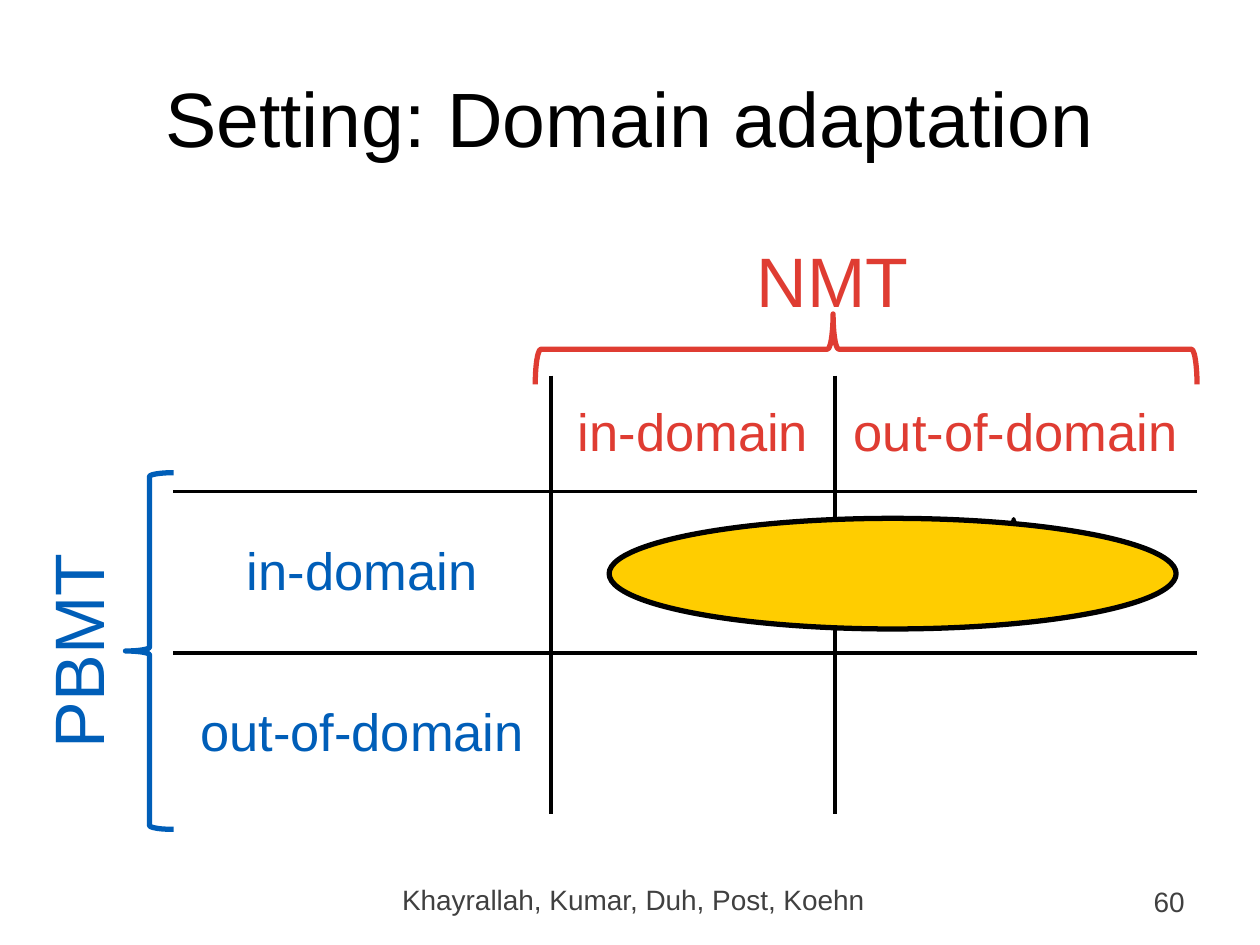
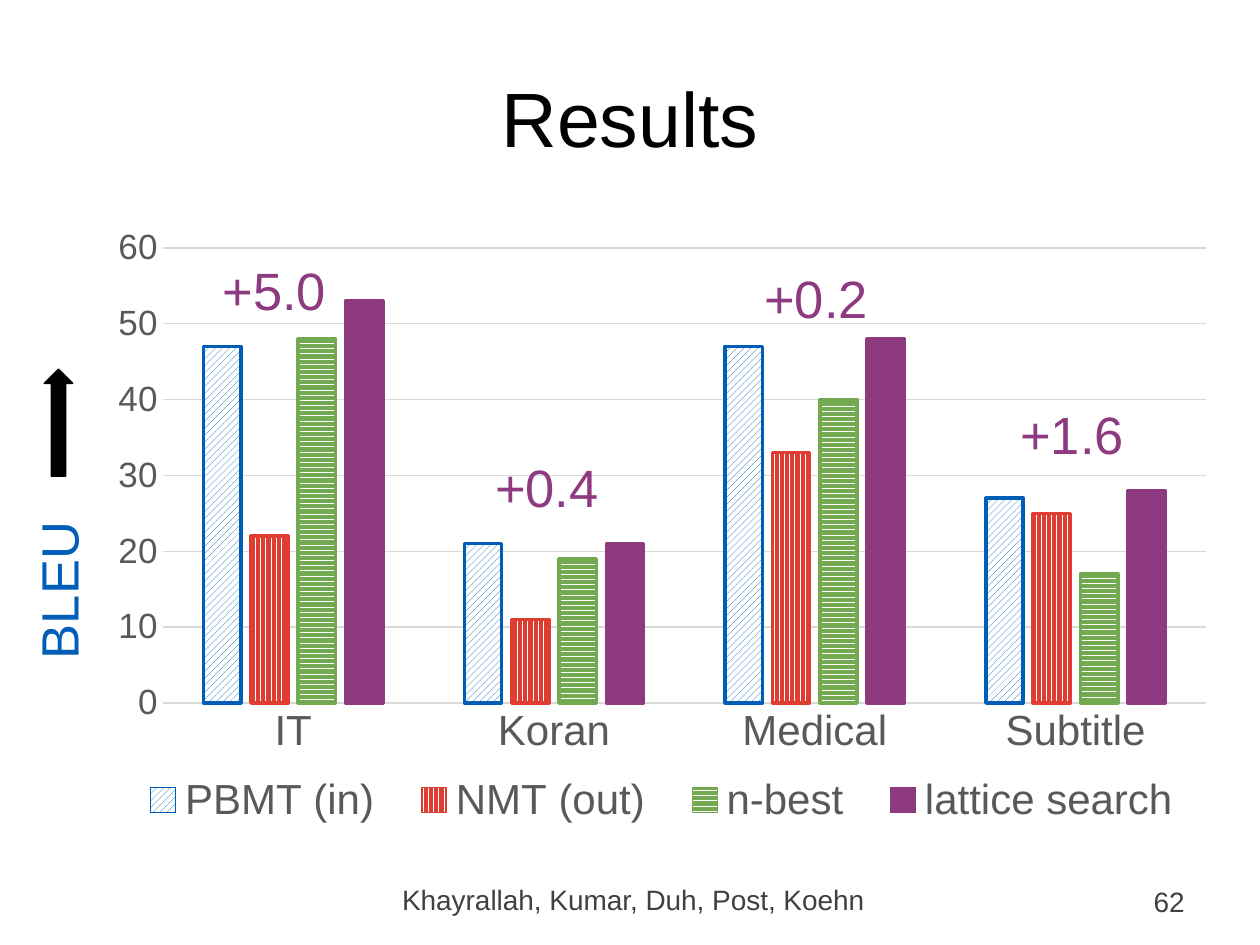
"""Builds two slides on domain adaptation: the setting and the results."""
from dataclasses import dataclass
from typing import Optional

from lxml import etree
from pptx import Presentation
from pptx import util as u
from pptx.chart import data as chart_data
from pptx.dml.color import RGBColor
from pptx.enum import chart as charts
from pptx.enum import dml, shapes, text
from pptx.oxml import ns

BLACK = RGBColor(0x00, 0x00, 0x00)
WHITE = RGBColor(0xFF, 0xFF, 0xFF)
BLUE = RGBColor(0x00, 0x5E, 0xB8)
RED = RGBColor(0xDF, 0x3C, 0x32)
GREEN = RGBColor(0x73, 0xA9, 0x51)
PURPLE = RGBColor(0x8E, 0x3A, 0x80)
YELLOW = RGBColor(0xFF, 0xCD, 0x00)
FOOTER_GREY = RGBColor(0x40, 0x40, 0x40)
AXIS_GREY = RGBColor(0x59, 0x59, 0x59)
GRID_GREY = RGBColor(0xD9, 0xD9, 0xD9)

FONT = "Arial"
AUTHORS = "Khayrallah, Kumar, Duh, Post, Koehn"
LEFT, CENTER, RIGHT = text.PP_ALIGN.LEFT, text.PP_ALIGN.CENTER, text.PP_ALIGN.RIGHT
TOP, MIDDLE = text.MSO_ANCHOR.TOP, text.MSO_ANCHOR.MIDDLE


@dataclass(frozen=True)
class Area:
    """A rectangle in centimetres."""
    left: float
    top: float
    width: float
    height: float

    def lengths(self) -> tuple:
        """Return the four sides as slide lengths."""
        return tuple(map(u.Cm, (self.left, self.top, self.width, self.height)))


@dataclass(frozen=True)
class Figure:
    """A preset shape with its outline, fill, rotation and adjustments."""
    kind: shapes.MSO_SHAPE
    area: Area
    line: RGBColor
    weight: float
    fill: Optional[RGBColor] = None
    rotation: float = 0
    adjustments: tuple = ()


@dataclass(frozen=True)
class System:
    """A translation system with its scores and bar style."""
    name: str
    scores: tuple
    color: RGBColor
    pattern: Optional[dml.MSO_PATTERN] = None


@dataclass(frozen=True)
class Gain:
    """A score gain and the place of its label."""
    label: str
    left: float
    top: float


TITLE_AREA = Area(1.27, 0.76, 22.86, 3.18)
AUTHORS_AREA = Area(7.13, 17.66, 11.28, 1.02)
NUMBER_AREA = Area(18.21, 17.65, 5.92, 1.02)

COLUMN_WIDTHS = (7.62, 5.72, 7.29)
ROW_HEIGHTS = (2.34, 3.25, 3.25)
DOMAINS = ("in-domain", "out-of-domain")

FIGURES = (
    Figure(shapes.MSO_SHAPE.LEFT_BRACE, Area(2.53, 9.53, 0.97, 7.19), BLUE, 3,
           adjustments=(0.08, 0.5)),
    Figure(shapes.MSO_SHAPE.LEFT_BRACE, Area(16.75, 0.37, 1.42, 13.34), RED, 3,
           rotation=90, adjustments=(0.08, 0.55)),
    Figure(shapes.MSO_SHAPE.STAR_5_POINT, Area(19.48, 10.46, 1.91, 1.7), BLACK, 2, YELLOW),
    Figure(shapes.MSO_SHAPE.OVAL, Area(12.28, 10.45, 11.43, 2.23), BLACK, 3, YELLOW),
)
UP_ARROW = Figure(shapes.MSO_SHAPE.UP_ARROW, Area(0.89, 7.44, 0.58, 2.16), BLACK, 0.75, BLACK)

CORPORA = ("IT", "Koran", "Medical", "Subtitle")
SYSTEMS = (
    System("PBMT (in)", (47, 21, 47, 27), BLUE, dml.MSO_PATTERN.WIDE_UPWARD_DIAGONAL),
    System("NMT (out)", (22, 11, 33, 25), RED, dml.MSO_PATTERN.DARK_VERTICAL),
    System("n-best", (48, 19, 40, 17), GREEN, dml.MSO_PATTERN.DARK_HORIZONTAL),
    System("lattice search", (53, 21, 48, 28), PURPLE),
)
GAINS = (
    Gain("+5.0", 4.24, 5.08),
    Gain("+0.4", 9.73, 9.04),
    Gain("+0.2", 15.16, 5.23),
    Gain("+1.6", 20.32, 7.98),
)
PLOT_SHARES = {"x": 0.06, "y": 0.05, "w": 0.92, "h": 0.73}
LEGEND_SHARES = {"x": 0.02, "y": 0.89, "w": 0.96, "h": 0.09}


def style_font(font, size: float, color: RGBColor) -> None:
    """Set the typeface, size and colour of a font."""
    font.name, font.size = FONT, u.Pt(size)
    font.color.rgb = color


def write_text(frame, words: str, *, size: float, color: RGBColor, align=CENTER) -> None:
    """Write one formatted paragraph into a text frame."""
    para = frame.paragraphs[0]
    para.alignment = align
    span = para.add_run()
    span.text = words
    style_font(span.font, size, color)


def add_text(page, words: str, area: Area, *, size: float, color: RGBColor,
             align=CENTER, anchor=TOP, wrap: bool = True, rotation: float = 0) -> None:
    """Add a text box with one paragraph."""
    box = page.shapes.add_textbox(*area.lengths())
    box.rotation = rotation
    box.text_frame.word_wrap = wrap
    box.text_frame.vertical_anchor = anchor
    write_text(box.text_frame, words, size=size, color=color, align=align)


def add_figure(page, figure: Figure) -> None:
    """Draw a preset shape."""
    shape = page.shapes.add_shape(figure.kind, *figure.area.lengths())
    shape.shadow.inherit = False
    shape.rotation = figure.rotation
    for index, value in enumerate(figure.adjustments):
        shape.adjustments[index] = value
    if figure.fill is None:
        shape.fill.background()
    else:
        shape.fill.solid()
        shape.fill.fore_color.rgb = figure.fill
    shape.line.color.rgb = figure.line
    shape.line.width = u.Pt(figure.weight)


def add_page(deck, title: str, number: int):
    """Add a blank slide with its title and footers."""
    page = deck.slides.add_slide(deck.slide_layouts[6])
    add_text(page, str(number), NUMBER_AREA, size=16, color=FOOTER_GREY,
             align=RIGHT, anchor=MIDDLE)
    add_text(page, title, TITLE_AREA, size=44, color=BLACK, anchor=MIDDLE)
    add_text(page, AUTHORS, AUTHORS_AREA, size=16, color=FOOTER_GREY)
    return page


def set_borders(cell, visible: dict) -> None:
    """Draw the visible sides of a cell and hide the others."""
    properties = cell._tc.get_or_add_tcPr()
    for side in "LRTB":
        line = etree.SubElement(properties, ns.qn(f"a:ln{side}"), w=str(u.Pt(2.25)))
        if visible[side]:
            fill = etree.SubElement(line, ns.qn("a:solidFill"))
            etree.SubElement(fill, ns.qn("a:srgbClr"), val=str(BLACK))
        else:
            etree.SubElement(line, ns.qn("a:noFill"))


def add_domain_table(page) -> None:
    """Add the grid of training domains with inner rules only."""
    area = Area(3.49, 7.57, sum(COLUMN_WIDTHS), sum(ROW_HEIGHTS))
    table = page.shapes.add_table(3, 3, *area.lengths()).table
    table.first_row = table.horz_banding = False
    for column, width in zip(table.columns, COLUMN_WIDTHS):
        column.width = u.Cm(width)
    for row, height in zip(table.rows, ROW_HEIGHTS):
        row.height = u.Cm(height)
    for row in range(3):
        for column in range(3):
            cell = table.cell(row, column)
            set_borders(cell, {"L": column > 0, "R": column < 2, "T": row > 0, "B": row < 2})
            cell.fill.background()
            cell.vertical_anchor = MIDDLE
    for index, domain in enumerate(DOMAINS, start=1):
        write_text(table.cell(0, index).text_frame, domain, size=30, color=RED)
        write_text(table.cell(index, 0).text_frame, domain, size=30, color=BLUE)


def style_bars(series, system: System) -> None:
    """Give the bars of one system their fill and outline."""
    fill, line = series.format.fill, series.format.line
    if system.pattern is None:
        fill.solid()
    else:
        fill.patterned()
        fill.pattern = system.pattern
        fill.back_color.rgb = WHITE
    fill.fore_color.rgb = system.color
    line.color.rgb, line.width = system.color, u.Pt(2)
    series.invert_if_negative = False


def style_line(line) -> None:
    """Make a thin light chart line."""
    line.color.rgb, line.width = GRID_GREY, u.Pt(0.75)


def place_part(part, position: int, shares: dict, *, inner: bool = False) -> None:
    """Fix a chart part at shares of the chart's width and height."""
    for old in part.findall(ns.qn("c:layout")):
        part.remove(old)
    layout = etree.Element(ns.qn("c:layout"))
    manual = etree.SubElement(layout, ns.qn("c:manualLayout"))
    if inner:
        etree.SubElement(manual, ns.qn("c:layoutTarget"), val="inner")
    for key in "xy":
        etree.SubElement(manual, ns.qn(f"c:{key}Mode"), val="edge")
    for key, share in shares.items():
        etree.SubElement(manual, ns.qn(f"c:{key}"), val=str(share))
    part.insert(position, layout)


def add_score_chart(page) -> None:
    """Add the clustered columns of scores."""
    scores = chart_data.CategoryChartData()
    scores.categories = CORPORA
    for system in SYSTEMS:
        scores.add_series(system.name, system.scores)
    chart = page.shapes.add_chart(charts.XL_CHART_TYPE.COLUMN_CLUSTERED,
                                  *Area(1.91, 4.37, 22.86, 12.57).lengths(), scores).chart
    style_font(chart.font, 10, BLACK)
    chart.has_title = False
    chart.has_legend = True
    chart.legend.position = charts.XL_LEGEND_POSITION.BOTTOM
    chart.legend.include_in_layout = False
    style_font(chart.legend.font, 24, AXIS_GREY)
    place_part(chart.legend._element, 1, LEGEND_SHARES)
    place_part(chart._chartSpace.chart.plotArea, 0, PLOT_SHARES, inner=True)
    plot = chart.plots[0]
    plot.gap_width, plot.overlap, plot.vary_by_categories = 219, -27, False
    for series, system in zip(plot.series, SYSTEMS):
        style_bars(series, system)
    for axis, size in ((chart.category_axis, 24), (chart.value_axis, 20)):
        style_font(axis.tick_labels.font, size, AXIS_GREY)
        axis.major_tick_mark = axis.minor_tick_mark = charts.XL_TICK_MARK.NONE
    style_line(chart.category_axis.format.line)
    value_axis = chart.value_axis
    value_axis.minimum_scale, value_axis.maximum_scale, value_axis.major_unit = 0, 60, 10
    value_axis.format.line.fill.background()
    style_line(value_axis.major_gridlines.format.line)


def build_setting(deck) -> None:
    """Build the slide on the training setting."""
    page = add_page(deck, "Setting: Domain adaptation", 60)
    add_domain_table(page)
    add_text(page, "PBMT", Area(-0.89, 12.14, 4.88, 1.96), size=40, color=BLUE, rotation=270)
    add_text(page, "NMT", Area(14.39, 4.66, 4.78, 1.96), size=40, color=RED)
    for figure in FIGURES:
        add_figure(page, figure)


def build_results(deck) -> None:
    """Build the slide with the scores."""
    page = add_page(deck, "Results", 62)
    add_score_chart(page)
    for gain in GAINS:
        add_text(page, gain.label, Area(gain.left, gain.top, 2.62, 1.55),
                 size=30, color=PURPLE, align=LEFT, wrap=False)
    add_text(page, "BLEU", Area(-0.66, 10.92, 3.68, 1.55), size=30, color=BLUE,
             align=LEFT, rotation=270)
    add_figure(page, UP_ARROW)


def main() -> None:
    """Build and save the deck."""
    deck = Presentation()
    deck.slide_width, deck.slide_height = u.Cm(25.4), u.Cm(19.05)
    build_setting(deck)
    build_results(deck)
    deck.save("out.pptx")


if __name__ == "__main__":
    main()
